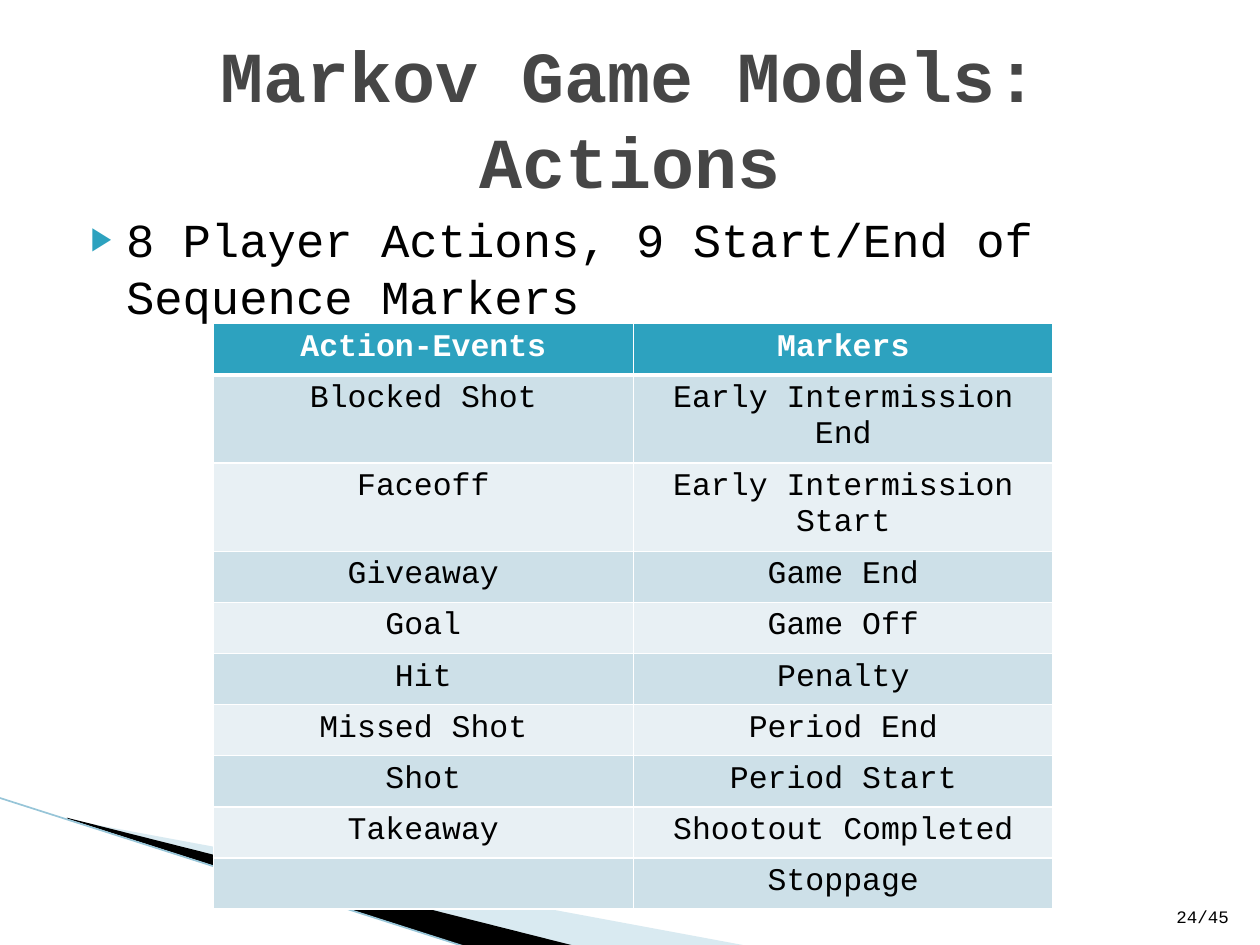
from dataclasses import dataclass
from itertools import zip_longest

from lxml.etree import SubElement
from pptx import Presentation
from pptx.dml.color import RGBColor
from pptx.enum.shapes import MSO_CONNECTOR
from pptx.enum.text import MSO_ANCHOR, MSO_AUTO_SIZE, PP_ALIGN
from pptx.oxml.ns import qn
from pptx.util import Pt


@dataclass(frozen=True)
class Theme:
    font: str = "Courier New"
    title_size: int = 41
    body_size: int = 27
    table_size: int = 18
    number_size: int = 10
    title: str = "464646"
    text: str = "000000"
    white: str = "FFFFFF"
    accent: str = "2DA2BF"
    band_dark: str = "CDE0E8"
    band_light: str = "E8F0F4"
    wedge: str = "A0CBDC"
    edge: str = "97C5D8"


THEME = Theme()
ACTIONS = ["Blocked Shot", "Faceoff", "Giveaway", "Goal", "Hit",
           "Missed Shot", "Shot", "Takeaway"]
MARKERS = ["Early Intermission End", "Early Intermission Start", "Game End",
           "Game Off", "Penalty", "Period End", "Period Start",
           "Shootout Completed", "Stoppage"]


def rgb(color):
    return RGBColor.from_string(color)


def place(shape, left, top, width, height):
    shape.left, shape.top = Pt(left), Pt(top)
    shape.width, shape.height = Pt(width), Pt(height)


def style(paragraph, size, color, align, bold=False):
    paragraph.alignment = align
    for run in paragraph.runs:
        font = run.font
        font.name, font.size, font.bold = THEME.font, Pt(size), bold
        font.color.rgb = rgb(color)


def add_wedge(slide, points, color, opacity=100):
    start, *rest = [(Pt(x), Pt(y)) for x, y in points]
    builder = slide.shapes.build_freeform(*start)
    builder.add_line_segments(rest, close=True)
    wedge = builder.convert_to_shape()
    wedge.shadow.inherit = False
    wedge.line.fill.background()
    wedge.fill.solid()
    wedge.fill.fore_color.rgb = rgb(color)
    if opacity < 100:
        tint = wedge.fill._xPr.find(".//" + qn("a:srgbClr"))
        SubElement(tint, qn("a:alpha"), val=str(opacity * 1000))


def add_edge(slide, start, end):
    edge = slide.shapes.add_connector(
        MSO_CONNECTOR.STRAIGHT, *map(Pt, start + end))
    edge.line.color.rgb = rgb(THEME.edge)
    edge.line.width = Pt(0.95)
    SubElement(edge._element.spPr, qn("a:effectLst"))


def add_corner_decoration(slide):
    add_wedge(slide, [(39.6, 468.5), (428.4, 540.7), (328.3, 540.7), (39.6, 468)],
              THEME.wedge, opacity=40)
    add_wedge(slide, [(38.2, 467.3), (329, 540.7), (267.8, 541.4), (38.9, 468)],
              THEME.text)
    add_edge(slide, (-0.7, 455.8), (267.1, 541.4))


def fill_title(title, text):
    place(title, 36, 21.6, 648, 90)
    frame = title.text_frame
    frame.text = text
    frame.auto_size = MSO_AUTO_SIZE.NONE
    frame.vertical_anchor = MSO_ANCHOR.MIDDLE
    style(frame.paragraphs[0], THEME.title_size, THEME.title, PP_ALIGN.CENTER, True)


def fill_body(body, text):
    place(body, 36, 116.6, 648, 356.4)
    frame = body.text_frame
    frame.text = text
    frame.auto_size = MSO_AUTO_SIZE.NONE
    bullet_point = frame.paragraphs[0]
    bullet_point.space_before = Pt(0)
    add_bullet(bullet_point)
    style(bullet_point, THEME.body_size, THEME.text, PP_ALIGN.LEFT)


def add_bullet(paragraph):
    props = paragraph._p.get_or_add_pPr()
    props.set("marL", str(Pt(28.8)))
    props.set("indent", str(Pt(-20.2)))
    color = SubElement(props, qn("a:buClr"))
    SubElement(color, qn("a:srgbClr"), val=THEME.accent)
    SubElement(props, qn("a:buSzPct"), val="68000")
    SubElement(props, qn("a:buChar"), char="▶")


def add_page_number(slide, text):
    box = slide.shapes.add_textbox(Pt(660.2), Pt(504.7), Pt(49), Pt(28.8))
    frame = box.text_frame
    frame.word_wrap = True
    frame.vertical_anchor = MSO_ANCHOR.BOTTOM
    frame.text = text
    style(frame.paragraphs[0], THEME.number_size, THEME.text, PP_ALIGN.RIGHT)


def set_borders(cell, bottom_width):
    props = cell._tc.get_or_add_tcPr()
    for side, width in zip("LRTB", (1, 1, 1, bottom_width)):
        border = SubElement(props, qn(f"a:ln{side}"), w=str(Pt(width)))
        fill = SubElement(border, qn("a:solidFill"))
        SubElement(fill, qn("a:srgbClr"), val=THEME.white)


def add_event_table(slide, header, events):
    rows = [header, *events]
    row_height = 29.2
    table = slide.shapes.add_table(
        len(rows), len(header), Pt(121.9), Pt(185),
        Pt(480), Pt(row_height * len(rows))).table
    for row in table.rows:
        row.height = Pt(row_height)
    for r, row in enumerate(rows):
        is_header = r == 0
        band = THEME.band_dark if r % 2 else THEME.band_light
        for c, text in enumerate(row):
            cell = table.cell(r, c)
            set_borders(cell, 3 if is_header else 1)
            cell.fill.solid()
            cell.fill.fore_color.rgb = rgb(THEME.accent if is_header else band)
            cell.text = text
            style(cell.text_frame.paragraphs[0], THEME.table_size,
                  THEME.white if is_header else THEME.text,
                  PP_ALIGN.CENTER, is_header)


def main():
    deck = Presentation()
    deck.slide_width, deck.slide_height = Pt(720), Pt(540)
    slide = deck.slides.add_slide(deck.slide_layouts[1])
    add_corner_decoration(slide)
    fill_title(slide.shapes.title, "Markov Game Models: Actions")
    fill_body(slide.placeholders[1],
              "8 Player Actions, 9 Start/End of Sequence Markers")
    add_page_number(slide, "24/45")
    add_event_table(slide, ("Action-Events", "Markers"),
                    zip_longest(ACTIONS, MARKERS, fillvalue=""))
    deck.save("out.pptx")


if __name__ == "__main__":
    main()
